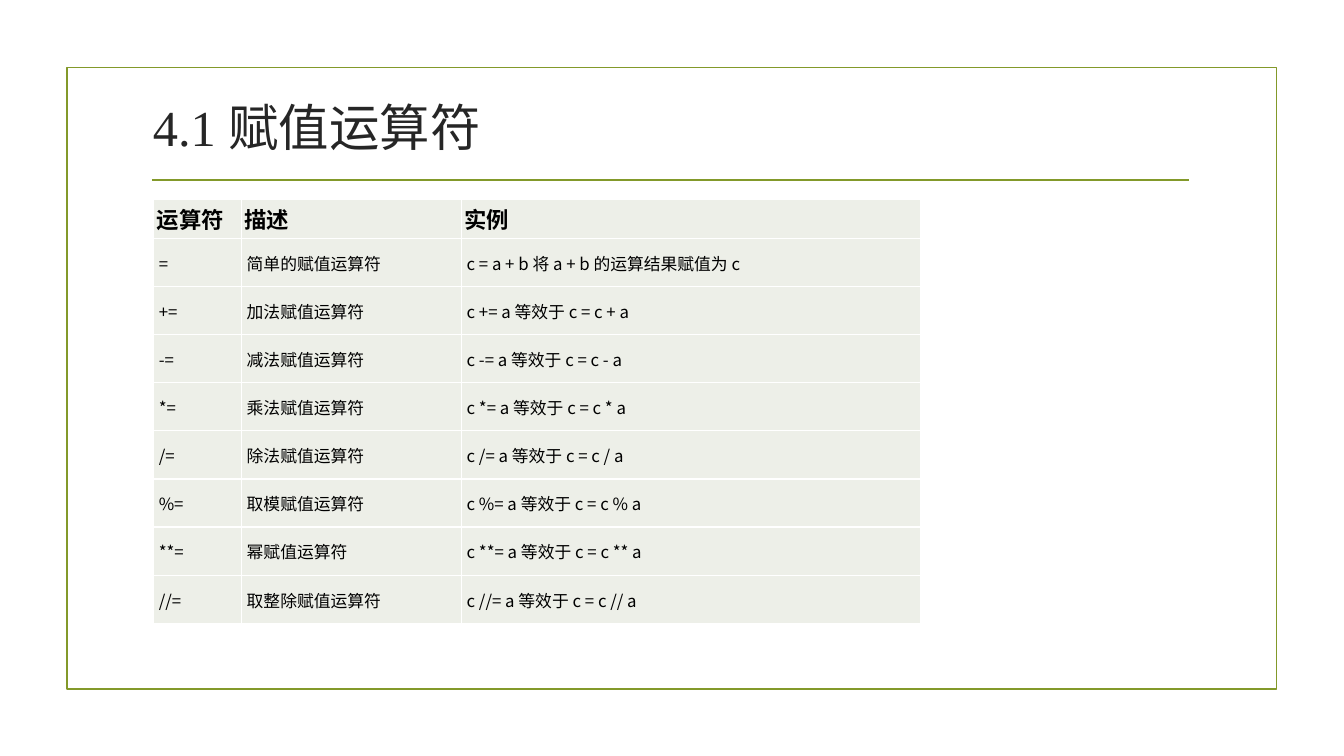
"""Build a slide that lists the assignment operators in a ruled table."""
from dataclasses import dataclass

from lxml.etree import SubElement as Sub
from pptx import Presentation
from pptx.dml.color import RGBColor as Rgb
from pptx.enum.shapes import MSO_CONNECTOR as Conn, MSO_SHAPE as Form
from pptx.enum.text import MSO_ANCHOR as Anchor, PP_ALIGN as Align
from pptx.oxml.ns import qn
from pptx.slide import Slide
from pptx.table import _Cell as Cell
from pptx.text.text import _Paragraph as Para
from pptx.util import Pt


@dataclass(frozen=True)
class Theme:
    green: str = "83992A"
    ink: str = "262626"
    black: str = "000000"
    pale: str = "EDEFE8"
    white: str = "FFFFFF"
    serif: str = "Times New Roman"
    sans: str = "Noto Sans CJK SC"
    title: float = 36
    head: float = 16
    body: float = 12
    rule: float = 1.25
    grid: float = 1


@dataclass(frozen=True)
class Style:
    font: str
    size: float
    color: str
    bold: bool = False


@dataclass(frozen=True)
class Look:
    style: Style
    side: float
    edge: float
    lead: float | None = None


@dataclass(frozen=True)
class Row:
    sign: str
    name: str
    demo: str


THEME = Theme()
TITLE = Style(THEME.serif, THEME.title, THEME.ink)
HEAD = Look(Style(THEME.sans, THEME.head, THEME.black, True), 2.25, 2.25)
BODY = Look(Style(THEME.sans, THEME.body, THEME.black), 3.75, 5.25, 21)
WIDTHS = (62.8, 157.1, 328.2)
HEAD_H, BODY_H = 16.5, 34.4
NAMES = {
    "+=": "加法",
    "-=": "减法",
    "*=": "乘法",
    "/=": "除法",
    "%=": "取模",
    "**=": "幂",
    "//=": "取整除",
}
ROWS = [
    Row("运算符", "描述", "实例"),
    Row("=", "简单的赋值运算符", "c = a + b 将 a + b 的运算结果赋值为 c"),
    *(
        Row(sign, f"{name}赋值运算符", f"c {sign} a 等效于 c = c {sign[:-1]} a")
        for sign, name in NAMES.items()
    ),
]


def write(para: Para, text: str, style: Style) -> None:
    para.text = text
    para.alignment = Align.LEFT
    for run in para.runs:
        font = run.font
        font.name, font.size, font.bold = style.font, Pt(style.size), style.bold
        font.color.rgb = Rgb.from_string(style.color)
        Sub(run._r.get_or_add_rPr(), qn("a:ea"), typeface=THEME.sans)


def edge(cell: Cell) -> None:
    props = cell._tc.get_or_add_tcPr()
    for spot, tag in enumerate(("a:lnL", "a:lnR", "a:lnT", "a:lnB")):
        line = props.makeelement(qn(tag), {"w": str(Pt(THEME.grid))})
        Sub(Sub(line, qn("a:solidFill")), qn("a:srgbClr"), val=THEME.white)
        props.insert(spot, line)


def fill(cell: Cell, text: str, look: Look) -> None:
    cell.fill.solid()
    cell.fill.fore_color.rgb = Rgb.from_string(THEME.pale)
    cell.margin_left = cell.margin_right = Pt(look.side)
    cell.margin_top = cell.margin_bottom = Pt(look.edge)
    para = cell.text_frame.paragraphs[0]
    write(para, text, look.style)
    if look.lead:
        para.line_spacing = Pt(look.lead)
    edge(cell)


def frame(slide: Slide) -> None:
    box = slide.shapes.add_shape(Form.RECTANGLE, Pt(47.8), Pt(48.2), Pt(864), Pt(444))
    box.shadow.inherit = False
    box.fill.background()
    rule = slide.shapes.add_connector(
        Conn.STRAIGHT, Pt(108.5), Pt(128.8), Pt(849.5), Pt(128.8)
    )
    Sub(rule._element.spPr, qn("a:effectLst"))
    for item in (box, rule):
        item.line.color.rgb = Rgb.from_string(THEME.green)
        item.line.width = Pt(THEME.rule)


def title(slide: Slide, text: str) -> None:
    shape = slide.shapes.title
    shape.left, shape.top = Pt(102), Pt(63.4)
    shape.width, shape.height = Pt(756), Pt(54)
    shape.text_frame.vertical_anchor = Anchor.MIDDLE
    write(shape.text_frame.paragraphs[0], text, TITLE)


def table(slide: Slide, rows: list[Row]) -> None:
    high = HEAD_H + BODY_H * (len(rows) - 1)
    grid = slide.shapes.add_table(
        len(rows), len(WIDTHS), Pt(109.7), Pt(142.6), Pt(sum(WIDTHS)), Pt(high)
    ).table
    grid.first_row = grid.horz_banding = False
    for col, wide in zip(grid.columns, WIDTHS):
        col.width = Pt(wide)
    for at, row in enumerate(rows):
        grid.rows[at].height = Pt(BODY_H if at else HEAD_H)
        for col, text in enumerate((row.sign, row.name, row.demo)):
            fill(grid.cell(at, col), text, BODY if at else HEAD)


def main() -> None:
    deck = Presentation()
    deck.slide_width, deck.slide_height = Pt(960), Pt(540)
    slide = deck.slides.add_slide(deck.slide_layouts[5])
    frame(slide)
    title(slide, "4.1 赋值运算符")
    table(slide, ROWS)
    deck.save("out.pptx")


if __name__ == "__main__":
    main()
